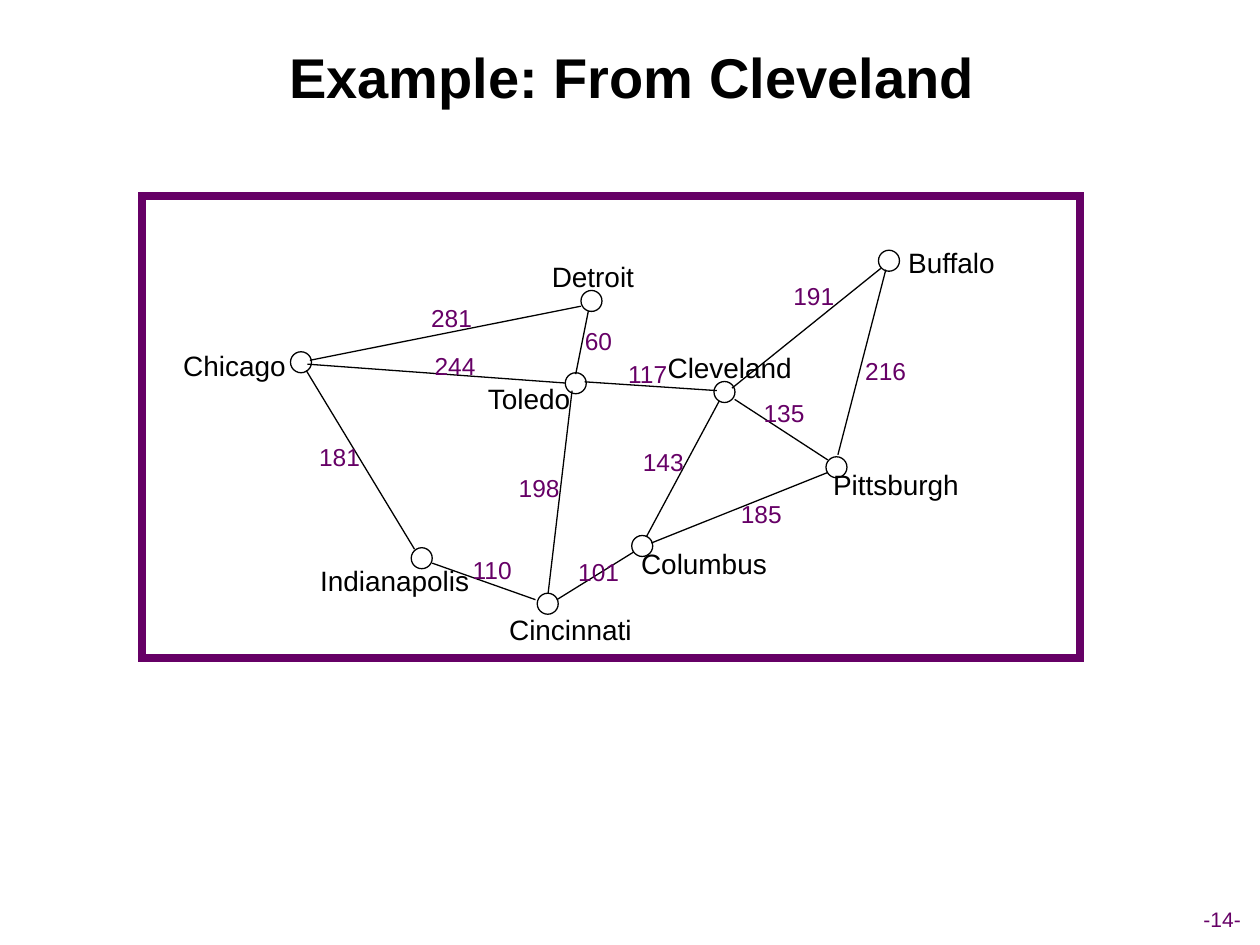
import pptx
import pptx.util
import pptx.dml.color
import pptx.enum.shapes
import pptx.enum.text
import pptx.oxml.ns
from lxml import etree

Pt = pptx.util.Pt
qn = pptx.oxml.ns.qn
SHAPE = pptx.enum.shapes.MSO_SHAPE
ANCHOR = pptx.enum.text.MSO_ANCHOR
AUTO_SIZE = pptx.enum.text.MSO_AUTO_SIZE
COLORS = {"text": "000000", "line": "000000", "accent": "660066"}
NODE_SIZE = 12

# city: node centre, label offset from the node, label width
CITIES = {
    "Detroit": (257, 60, 0.8, -14, 63),
    "Cleveland": (333, 112, 3, -14, 87),
    "Columbus": (286, 200, 35.3, 10, 88),
    "Cincinnati": (232, 233, 13, 15, 86),
    "Pittsburgh": (397, 155, 34, 10, 88),
    "Buffalo": (427, 37, 35.7, 1, 66),
    "Chicago": (91, 95, -38, 2, 75),
    "Indianapolis": (160, 207, -15.5, 13, 101),
    "Toledo": (248, 107, -26.7, 9, 65),
}

# distance, line start, line end, label centre
ROADS = [
    (117, (328.7, 111.2), (253.1, 106.2), (289.1, 101.5)),
    (191, (337.3, 109.8), (422.3, 41.4), (384, 56.8)),
    (135, (392, 150.8), (338.8, 116.2), (367, 123.8)),
    (281, (250.9, 63), (96.1, 93.9), (177, 69.8)),
    (143, (288.4, 194.7), (330.1, 117), (298, 151.9)),
    (110, (225, 230.7), (166, 209.8), (200.2, 213.8)),
    (101, (281.2, 203.4), (237.2, 230.7), (261.1, 214.5)),
    (181, (155.9, 201.9), (94, 99.7), (113, 149)),
    (216, (397.8, 147.9), (425.2, 42.1), (425.1, 100)),
    (185, (392, 158), (291.2, 198.3), (354, 181.4)),
    (60, (255.2, 65.8), (248, 101.8), (261, 82.8)),
    (198, (232.2, 227.1), (245.9, 111.2), (227.1, 167)),
    (244, (94.7, 96.1), (242.3, 106.9), (179, 97)),
]


def rgb(name):
    return pptx.dml.color.RGBColor.from_string(COLORS[name])


def write(tf, text, size=16, color="text", bold=False, anchor=ANCHOR.TOP, wrap=False):
    tf.word_wrap = wrap
    tf.auto_size = AUTO_SIZE.NONE if wrap else AUTO_SIZE.SHAPE_TO_FIT_TEXT
    tf.vertical_anchor = anchor
    p = tf.paragraphs[0]
    p.alignment = pptx.enum.text.PP_ALIGN.CENTER
    r = p.add_run()
    r.text = text
    r.font.name = "Arial"
    r.font.size = Pt(size)
    r.font.bold = bold
    r.font.color.rgb = rgb(color)


def add_label(s, text, cx, cy, w, h, **fmt):
    """Text box centred on (cx, cy)."""
    sp = s.shapes.add_textbox(Pt(cx - w / 2), Pt(cy - h / 2), Pt(w), Pt(h))
    write(sp.text_frame, text, **fmt)


def add_outline(s, kind, x, y, w, h, color, width):
    """Unfilled shape whose corners stay sharp."""
    sp = s.shapes.add_shape(kind, Pt(x), Pt(y), Pt(w), Pt(h))
    sp.shadow.inherit = False
    sp.fill.background()
    sp.line.color.rgb = rgb(color)
    sp.line.width = Pt(width)
    etree.SubElement(sp._element.spPr.find(qn("a:ln")), qn("a:miter"), lim="800000")


def add_road(s, x1, y1, x2, y2):
    road = s.shapes.add_connector(pptx.enum.shapes.MSO_CONNECTOR.STRAIGHT,
                                  Pt(x1), Pt(y1), Pt(x2), Pt(y2))
    road.line.color.rgb = rgb("line")
    road.line.width = Pt(0.75)
    etree.SubElement(road._element.spPr, qn("a:effectLst"))


def add_title(s, text, x, y, w, h):
    sp = s.shapes.title
    sp.left, sp.top, sp.width, sp.height = Pt(x), Pt(y), Pt(w), Pt(h)
    write(sp.text_frame, text, size=32, bold=True, anchor=ANCHOR.MIDDLE, wrap=True)


def add_road_map(s, x, y, w, h):
    for _, (x1, y1), (x2, y2), _ in ROADS:
        add_road(s, x + x1, y + y1, x + x2, y + y2)
    for city, (cx, cy, dx, dy, label_w) in CITIES.items():
        add_outline(s, SHAPE.OVAL, x + cx - NODE_SIZE / 2, y + cy - NODE_SIZE / 2,
                    NODE_SIZE, NODE_SIZE, "line", 0.75)
        add_label(s, city, x + cx + dx, y + cy + dy, label_w, 26.6)
    for miles, _, _, (cx, cy) in ROADS:
        add_label(s, str(miles), x + cx, y + cy, 30 if miles < 100 else 38, 24,
                  size=14, color="accent")
    add_outline(s, SHAPE.RECTANGLE, x, y, w, h, "accent", 4.5)


def main():
    prs = pptx.Presentation()
    prs.slide_width, prs.slide_height = Pt(720), Pt(540)
    s = prs.slides.add_slide(prs.slide_layouts[5])
    add_title(s, "Example: From Cleveland", 27.5, 9, 667.5, 68.5)
    add_road_map(s, 81, 112, 536, 264)
    add_label(s, "-14-", 698.4, 525.5, 42, 21.6, size=12, color="accent",
              anchor=ANCHOR.MIDDLE)
    prs.save("out.pptx")


if __name__ == "__main__":
    main()
